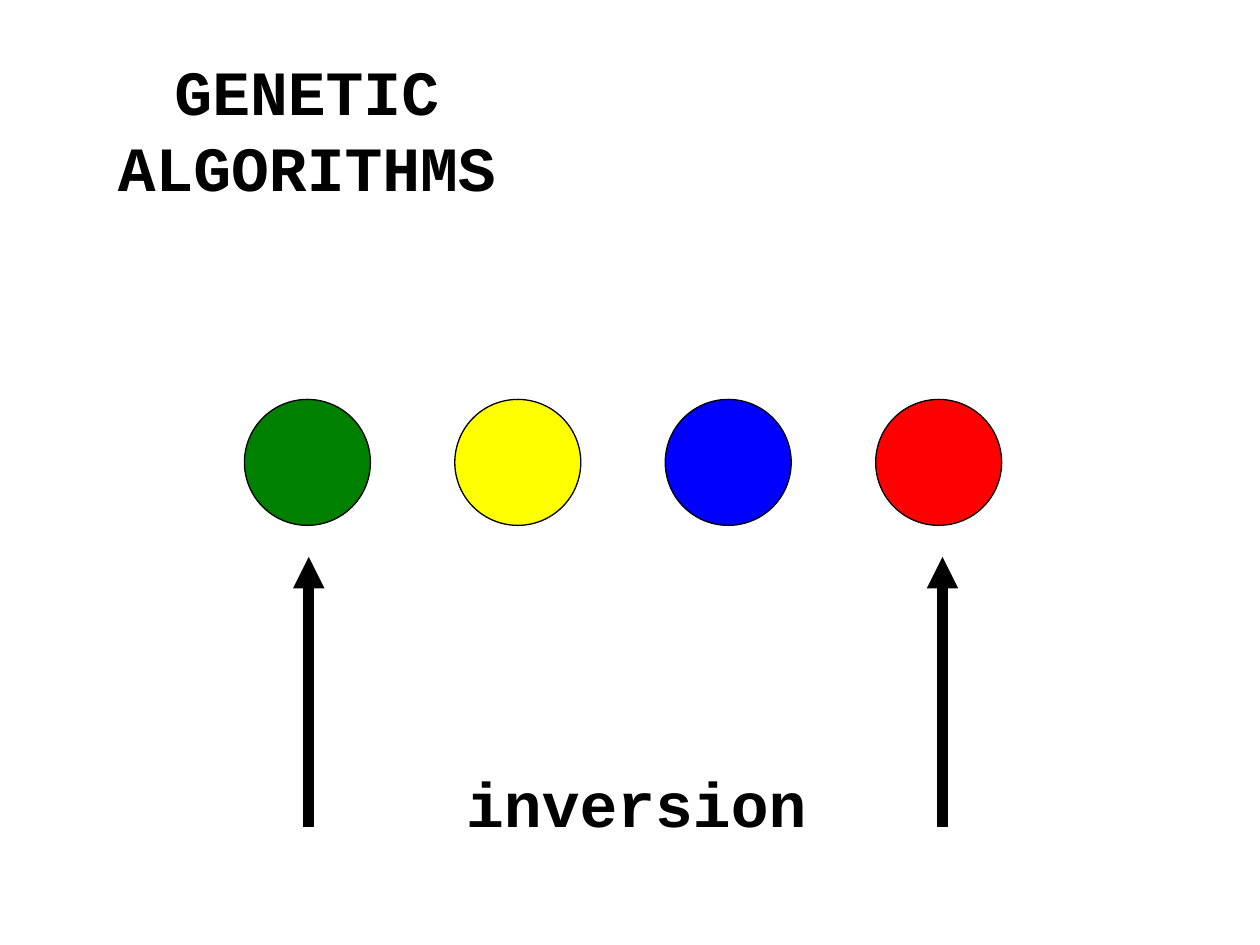
from dataclasses import dataclass

import pptx
import pptx.dml.color
import pptx.enum.shapes
import pptx.enum.text
import pptx.oxml
import pptx.oxml.ns
import pptx.util

Inches = pptx.util.Inches
Pt = pptx.util.Pt


@dataclass(frozen=True)
class Theme:
    ink: str = "000000"
    background: str = "FFFFFF"
    genes: tuple = ("008000", "FFFF00", "0000FF", "FF0000")
    font: str = "Courier New"
    text_size: float = 36
    outline: float = 0.75
    arrow: float = 6


def rgb(value):
    return pptx.dml.color.RGBColor.from_string(value)


def write_text(frame, text, *, font, size, color, bold=True,
               align=pptx.enum.text.PP_ALIGN.CENTER):
    """Fill the frame with one paragraph; a newline becomes a line break."""
    paragraph = frame.paragraphs[0]
    paragraph.text = text
    paragraph.alignment = align
    for run in paragraph.runs:
        run.font.name = font
        run.font.size = Pt(size)
        run.font.bold = bold
        run.font.color.rgb = rgb(color)


class SlideBuilder:
    def __init__(self, slide, theme):
        self.slide = slide
        self.theme = theme
        fill = slide.background.fill
        fill.solid()
        fill.fore_color.rgb = rgb(theme.background)

    def circle(self, left, top, diameter, color):
        gene = self.slide.shapes.add_shape(
            pptx.enum.shapes.MSO_SHAPE.OVAL,
            Inches(left), Inches(top), Inches(diameter), Inches(diameter))
        gene.shadow.inherit = False
        gene.fill.solid()
        gene.fill.fore_color.rgb = rgb(color)
        gene.line.color.rgb = rgb(self.theme.ink)
        gene.line.width = Pt(self.theme.outline)

    def text(self, left, top, width, height, wording):
        box = self.slide.shapes.add_textbox(
            Inches(left), Inches(top), Inches(width), Inches(height))
        frame = box.text_frame
        frame.word_wrap = True
        frame.auto_size = pptx.enum.text.MSO_AUTO_SIZE.SHAPE_TO_FIT_TEXT
        write_text(frame, wording, font=self.theme.font,
                   size=self.theme.text_size, color=self.theme.ink)

    def up_arrow(self, x, bottom, top):
        arrow = self.slide.shapes.add_connector(
            pptx.enum.shapes.MSO_CONNECTOR.STRAIGHT,
            Inches(x), Inches(bottom), Inches(x), Inches(top))
        arrow.line.color.rgb = rgb(self.theme.ink)
        arrow.line.width = Pt(self.theme.arrow)
        namespace = pptx.oxml.ns.nsdecls("a")
        arrow.line._get_or_add_ln().append(
            pptx.oxml.parse_xml(f'<a:tailEnd {namespace} type="triangle"/>'))
        arrow._element.spPr.append(
            pptx.oxml.parse_xml(f"<a:effectLst {namespace}/>"))


def main():
    deck = pptx.Presentation()
    deck.slide_width = Inches(10)
    deck.slide_height = Inches(7.5)
    theme = Theme()
    builder = SlideBuilder(deck.slides.add_slide(deck.slide_layouts[6]), theme)

    first_gene, gene_pitch = 1.94, 1.67
    for index, color in enumerate(theme.genes):
        builder.circle(first_gene + index * gene_pitch, 3.17, 1, color)

    builder.text(0, 0.37, 4.87, 1.31, "GENETIC\nALGORITHMS")
    builder.text(2.65, 6.02, 4.8, 0.71, "inversion")

    for inversion_end in (2.45, 7.48):
        builder.up_arrow(inversion_end, bottom=6.56, top=4.42)

    deck.save("out.pptx")


if __name__ == "__main__":
    main()
